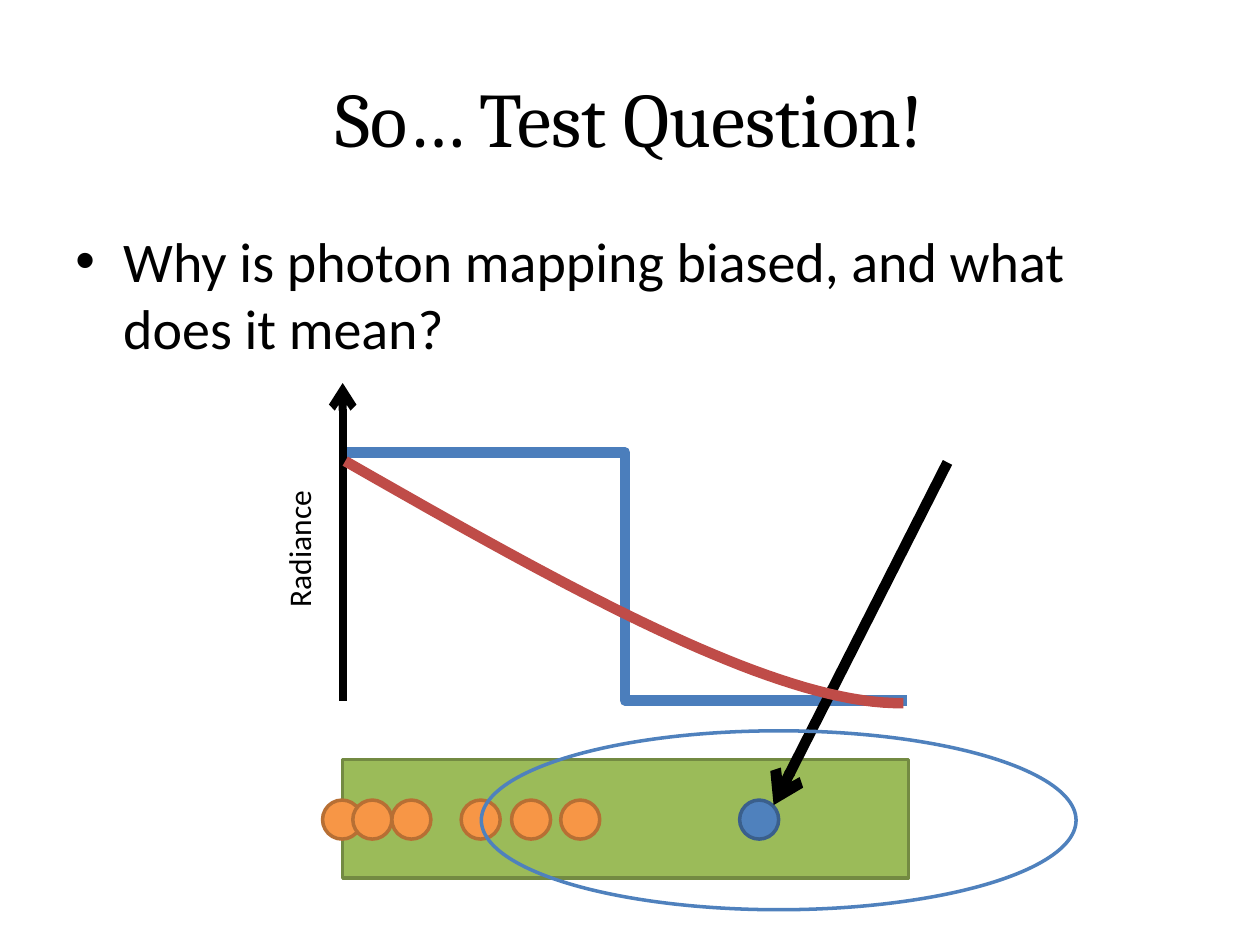
from dataclasses import dataclass
from typing import Optional

from lxml.etree import SubElement
from pptx import Presentation
from pptx.dml.color import RGBColor
from pptx.enum.shapes import MSO_CONNECTOR as Conn, MSO_SHAPE as Shp
from pptx.enum.text import MSO_ANCHOR as Anchor, PP_ALIGN as Align
from pptx.oxml.ns import qn
from pptx.util import Inches, Pt

COLORS = {
    "black": "000000",
    "surface": "9BBB59", "surface_edge": "738A42",
    "photon": "F79646", "photon_edge": "B76F34",
    "sample": "4F81BD", "sample_edge": "3A5F8C",
    "step": "4B7EBC", "estimate": "BF4C48",
}
DOT = 0.31
DOT_TOP = 6.35
PHOTON_LEFTS = (2.56, 2.8, 3.11, 3.66, 4.06, 4.45)
CURVE = ((2.74, 3.66), (4.44, 4.63), (6.15, 5.6), (7.17, 5.58))
CURVE_STEPS = 40


@dataclass
class Box:
    left: float
    top: float
    width: float
    height: float
    edge: str
    fill: Optional[str] = None
    kind: Shp = Shp.OVAL


@dataclass
class Line:
    x1: float
    y1: float
    x2: float
    y2: float
    color: str
    weight: float
    kind: Conn = Conn.STRAIGHT
    arrow: bool = False


@dataclass
class Label:
    left: float
    top: float
    width: float
    height: float
    text: str
    size: int
    font: str = "Calibri"
    align: Align = Align.LEFT
    anchor: Anchor = Anchor.TOP
    wrap: bool = True
    rotation: int = 0
    bullet: bool = False


def rgb(name: str) -> RGBColor:
    return RGBColor.from_string(COLORS[name])


def set_line(line, color: str, weight: float) -> None:
    line.color.rgb = rgb(color)
    line.width = Pt(weight)


def add_box(s, b: Box) -> None:
    sp = s.shapes.add_shape(b.kind, Inches(b.left), Inches(b.top),
                            Inches(b.width), Inches(b.height))
    sp.shadow.inherit = False
    if b.fill:
        sp.fill.solid()
        sp.fill.fore_color.rgb = rgb(b.fill)
    else:
        sp.fill.background()
    set_line(sp.line, b.edge, 2)


def add_line(s, ln: Line) -> None:
    cx = s.shapes.add_connector(ln.kind, Inches(ln.x1), Inches(ln.y1),
                                Inches(ln.x2), Inches(ln.y2))
    set_line(cx.line, ln.color, ln.weight)
    props = cx._element.spPr
    if ln.arrow:
        SubElement(props.find(qn("a:ln")), qn("a:tailEnd"), type="arrow")
    SubElement(props, qn("a:effectLst"))


def add_label(s, lb: Label) -> None:
    sp = s.shapes.add_textbox(Inches(lb.left), Inches(lb.top),
                              Inches(lb.width), Inches(lb.height))
    sp.rotation = lb.rotation
    tf = sp.text_frame
    tf.word_wrap = lb.wrap
    tf.vertical_anchor = lb.anchor
    p = tf.paragraphs[0]
    p.alignment = lb.align
    if lb.bullet:
        p.space_before = Pt(0.2 * lb.size)
        pr = p._p.get_or_add_pPr()
        pr.set("marL", str(Inches(0.38)))
        pr.set("indent", str(Inches(-0.38)))
        SubElement(pr, qn("a:buFont"), typeface="Arial")
        SubElement(pr, qn("a:buChar"), char="•")
    r = p.add_run()
    r.text = lb.text
    r.font.size = Pt(lb.size)
    r.font.name = lb.font
    r.font.color.rgb = rgb("black")


def bezier(t: float) -> tuple[int, int]:
    weights = ((1 - t) ** 3, 3 * t * (1 - t) ** 2, 3 * t ** 2 * (1 - t), t ** 3)
    x, y = (sum(w * pt[axis] for w, pt in zip(weights, CURVE)) for axis in (0, 1))
    return Inches(x), Inches(y)


def add_curve(s) -> None:
    start, *rest = [bezier(i / CURVE_STEPS) for i in range(CURVE_STEPS + 1)]
    fb = s.shapes.build_freeform(*start)
    fb.add_line_segments(rest, close=False)
    sp = fb.convert_to_shape()
    sp.shadow.inherit = False
    sp.fill.background()
    set_line(sp.line, "estimate", 6)


def main() -> None:
    prs = Presentation()
    prs.slide_width, prs.slide_height = Inches(10), Inches(7.5)
    s = prs.slides.add_slide(prs.slide_layouts[6])

    add_box(s, Box(2.72, 6.03, 4.49, 0.94, "surface_edge", "surface", Shp.RECTANGLE))
    add_line(s, Line(2.72, 3.59, 7.2, 5.56, "step", 6, Conn.ELBOW))
    add_line(s, Line(2.72, 5.56, 2.72, 3.04, "black", 4.5, arrow=True))
    add_label(s, Label(1.8, 4.15, 1.14, 0.4, "Radiance", 18, wrap=False, rotation=270))
    for left in PHOTON_LEFTS:
        add_box(s, Box(left, DOT_TOP, DOT, DOT, "photon_edge", "photon"))
    add_label(s, Label(0.5, 0.3, 9, 1.25, "So… Test Question!", 44, "Cambria",
                       Align.CENTER, Anchor.MIDDLE))
    add_label(s, Label(0.5, 1.75, 9, 4.95,
                       "Why is photon mapping biased, and what does it mean?",
                       32, bullet=True))
    add_box(s, Box(5.87, DOT_TOP, DOT, DOT, "sample_edge", "sample"))
    add_line(s, Line(7.52, 3.67, 6.14, 6.39, "black", 6, arrow=True))
    add_box(s, Box(3.82, 5.8, 4.72, 1.42, "sample"))
    add_curve(s)

    prs.save("out.pptx")


if __name__ == "__main__":
    main()
